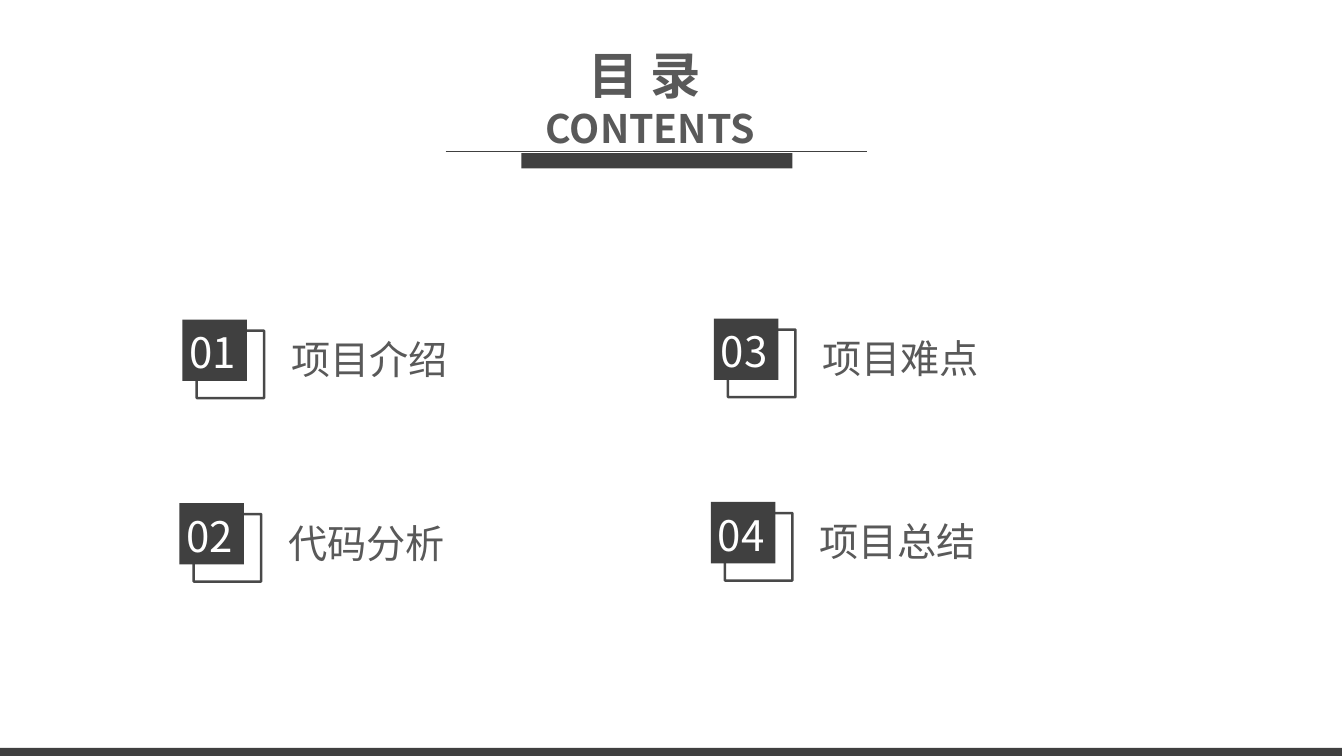
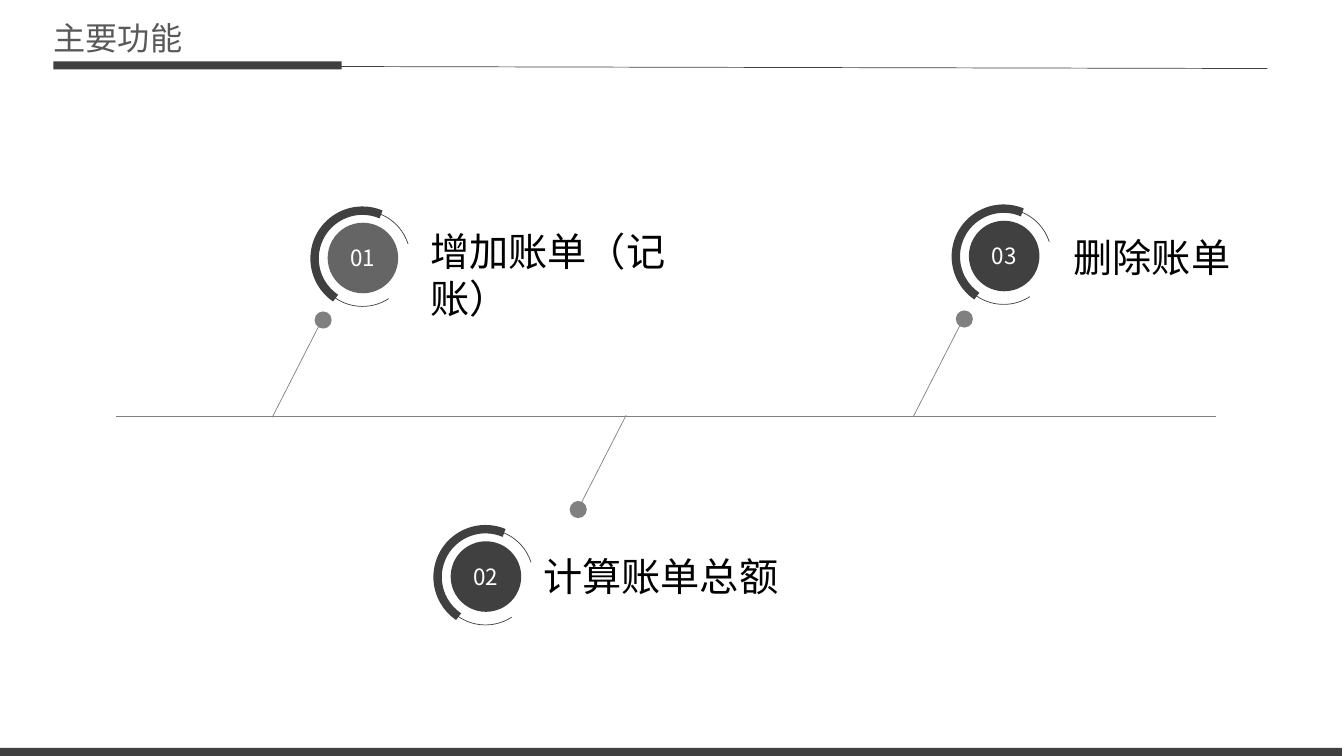
from collections import namedtuple

from lxml.etree import SubElement
from pptx import Presentation
from pptx.dml.color import RGBColor
from pptx.enum.shapes import MSO_CONNECTOR, MSO_SHAPE
from pptx.enum.text import MSO_ANCHOR, MSO_AUTO_SIZE, PP_ALIGN
from pptx.oxml.ns import qn
from pptx.util import Pt

PX = 9144
FONT = "Noto Sans CJK SC"
WHITE = RGBColor(0xFF, 0xFF, 0xFF)
BLACK = RGBColor(0x00, 0x00, 0x00)
DARK = RGBColor(0x40, 0x40, 0x40)
TEXT_GREY = RGBColor(0x59, 0x59, 0x59)
DISC_GREY = RGBColor(0x65, 0x65, 0x65)
LINE_GREY = RGBColor(0x80, 0x80, 0x80)

Box = namedtuple("Box", "left top width height")
Milestone = namedtuple("Milestone", "number label ring label_offset foot rise dot_offset disc_color")

CONTENTS = (("01", "项目介绍"), ("02", "代码分析"), ("03", "项目难点"), ("04", "项目总结"))
MILESTONES = (
    Milestone("01", "增加账单（记账）", Box(312, 209, 95, 95), (105, 12), (270, 414), 1, (-5, -13), DISC_GREY),
    Milestone("02", "计算账单总额", Box(434, 525, 95, 95), (95, 18), (621, 412), -1, (-9, -7), DARK),
    Milestone("03", "删除账单", Box(948, 207, 95, 95), (107, 20), (906, 413), 1, (-5, -13), DARK),
)


def scaled(values):
    return [value * PX for value in values]


def format_para(para, size, color, bold=False, align=PP_ALIGN.LEFT):
    para.alignment = align
    for span in para.runs:
        span.font.name = FONT
        span.font.size = Pt(size)
        span.font.bold = bold
        span.font.color.rgb = color
        SubElement(span.font.fill._xPr, qn("a:ea"), typeface=FONT)


def add_shape(shapes, kind, box, fill=None, line=None, width=1):
    shape = shapes.add_shape(kind, *scaled(box))
    shape.shadow.inherit = False
    if fill is None:
        shape.fill.background()
    else:
        shape.fill.solid()
        shape.fill.fore_color.rgb = fill
    if line is None:
        shape.line.fill.background()
    else:
        shape.line.color.rgb = line
        shape.line.width = Pt(width)
    return shape


def add_line(page, start, end, color):
    line = page.shapes.add_connector(MSO_CONNECTOR.STRAIGHT, *scaled(start + end))
    line.line.color.rgb = color
    line.line.width = Pt(0.5)
    SubElement(line.element.spPr, qn("a:effectLst"))


def add_text(page, box, text, size, color):
    frame = page.shapes.add_textbox(*scaled(box)).text_frame
    frame.word_wrap = True
    frame.text = text
    format_para(frame.paragraphs[0], size, color)
    return frame


def set_title(page, box, lines, color, bold, align):
    title = page.shapes.title
    title.left, title.top, title.width, title.height = scaled(box)
    frame = title.text_frame
    frame.auto_size = MSO_AUTO_SIZE.NONE
    frame.word_wrap = True
    frame.vertical_anchor = MSO_ANCHOR.MIDDLE
    frame.text = "\n".join(text for text, size in lines)
    for para, (text, size) in zip(frame.paragraphs, lines):
        format_para(para, size, color, bold, align)


def add_page(deck):
    page = deck.slides.add_slide(deck.slide_layouts[5])
    add_shape(page.shapes, MSO_SHAPE.RECTANGLE, Box(-2, 742, 1333, 8), DARK)
    return page


def contents_heading(page, box):
    left, top, width, height = box
    add_shape(page.shapes, MSO_SHAPE.RECTANGLE, Box(left + 75, top + 81, 269, 15), DARK)
    add_line(page, (left, top + 79), (left + width, top + 79), DARK)
    set_title(page, Box(left + 12, top, 382, 52), (("目 录 ", 36), ("CONTENTS", 28)),
              TEXT_GREY, True, PP_ALIGN.CENTER)


def contents_entry(page, box, number, label):
    left, top, width, height = box
    frame = add_shape(page.shapes, MSO_SHAPE.RECTANGLE, Box(left + 14, top + 11, 67, 67),
                      line=DARK, width=1.75)
    outline_color = frame.element.spPr.find(qn("a:ln")).find(".//" + qn("a:srgbClr"))
    SubElement(outline_color, qn("a:alpha"), val="94000")
    add_shape(page.shapes, MSO_SHAPE.RECTANGLE, box, DARK)

    number_frame = add_text(page, Box(left, top - 12, 75, 72), number, 30, WHITE)
    number_frame.margin_left = number_frame.margin_right = 7 * PX
    number_frame.margin_top = number_frame.margin_bottom = 4 * PX
    number_frame.auto_size = MSO_AUTO_SIZE.SHAPE_TO_FIT_TEXT
    number_frame.paragraphs[0].line_spacing = 1.3

    label_frame = add_text(page, Box(left + 98, top - 5, 543, 88), label, 28, TEXT_GREY)
    label_frame.vertical_anchor = MSO_ANCHOR.MIDDLE


def contents_page(deck):
    page = add_page(deck)
    contents_heading(page, Box(442, 71, 418, 96))
    for index, (number, label) in enumerate(CONTENTS):
        column, row = divmod(index, 2)
        box = Box(181 + 527 * column - 3 * row, 317 + 182 * row - column, 64, 61)
        contents_entry(page, box, number, label)


def section_heading(page, box, text):
    left, top, width, height = box
    add_shape(page.shapes, MSO_SHAPE.RECTANGLE, Box(left, top + 50, 286, 8), DARK)
    add_line(page, (left + 285, top + 55), (left + width, top + 57), DARK)
    set_title(page, Box(left - 10, top, 304, 52), ((text, 23),), TEXT_GREY, False, PP_ALIGN.JUSTIFY)


def numbered_ring(page, box, number, disc_color):
    disc = add_shape(page.shapes, MSO_SHAPE.OVAL, Box(box.left + 13, box.top + 12, 70, 70), disc_color)
    frame = disc.text_frame
    frame.word_wrap = False
    frame.vertical_anchor = MSO_ANCHOR.MIDDLE
    frame.text = number
    format_para(frame.paragraphs[0], 16, WHITE, align=PP_ALIGN.CENTER)

    ring = page.shapes.add_group_shape()
    for start, end, width in ((34.06, 205.29, 0.5), (74.49, 175.71, 6)):
        arc = add_shape(ring.shapes, MSO_SHAPE.ARC, box, line=DARK, width=width)
        arc.adjustments[0] = start
        arc.adjustments[1] = end


def add_milestone(page, milestone):
    foot_x, foot_y = milestone.foot
    tip_x, tip_y = foot_x + 47 * milestone.rise, foot_y - 92 * milestone.rise
    dot_x, dot_y = milestone.dot_offset
    add_line(page, milestone.foot, (tip_x, tip_y), LINE_GREY)
    add_shape(page.shapes, MSO_SHAPE.OVAL, Box(tip_x + dot_x, tip_y + dot_y, 17, 17), LINE_GREY)
    numbered_ring(page, milestone.ring, milestone.number, milestone.disc_color)

    label_x, label_y = milestone.label_offset
    label_box = Box(milestone.ring.left + label_x, milestone.ring.top + label_y, 322, 57)
    frame = add_text(page, label_box, milestone.label, 28, BLACK)
    frame.auto_size = MSO_AUTO_SIZE.SHAPE_TO_FIT_TEXT
    frame.paragraphs[0].space_before = Pt(6)


def timeline_page(deck):
    page = add_page(deck)
    section_heading(page, Box(53, 11, 1204, 58), "主要功能")
    add_line(page, (115, 413), (1206, 413), LINE_GREY)
    for milestone in MILESTONES:
        add_milestone(page, milestone)


def main():
    deck = Presentation()
    deck.slide_width, deck.slide_height = scaled((1333, 750))
    contents_page(deck)
    timeline_page(deck)
    deck.save("out.pptx")


if __name__ == "__main__":
    main()
